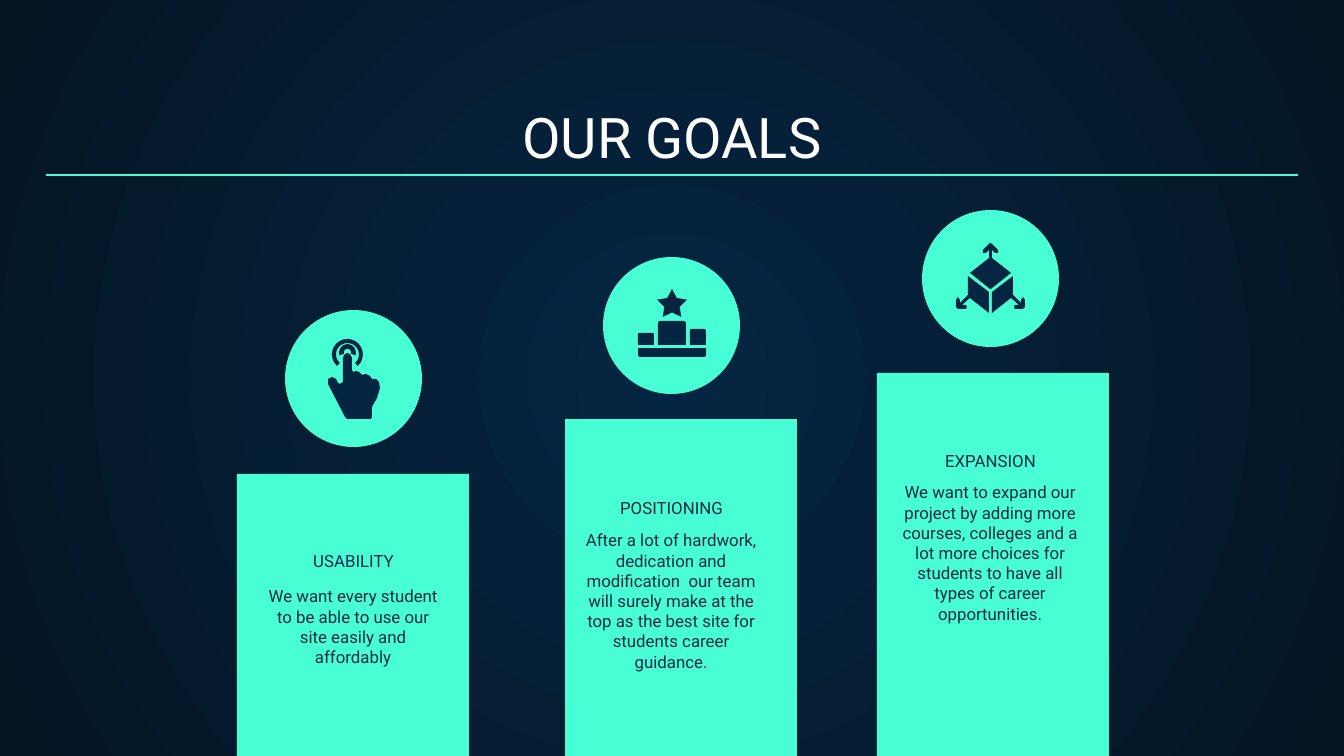
from dataclasses import dataclass
from lxml.etree import SubElement
from pptx import Presentation
from pptx.dml.color import RGBColor
from pptx.enum.shapes import MSO_CONNECTOR, MSO_SHAPE
from pptx.enum.text import MSO_ANCHOR, MSO_AUTO_SIZE, PP_ALIGN
from pptx.oxml.ns import qn
from pptx.util import Pt

PX = 914400 / 134.4
WIDE, HIGH = 1344, 756


@dataclass(frozen=True)
class Theme:
    mint: str = "48FFD5"
    navy: str = "052643"
    edge: str = "041523"
    ink: str = "0E2A47"
    white: str = "FFFFFF"
    font: str = "Roboto"
    title: int = 30
    text: int = 9
    rule: float = 0.75


THEME = Theme()

# bar left, bar top, disc left, disc top, body top, heading, body
GOALS = [
    (237, 474, 285, 310, 573, "USABILITY",
     "We want every student to be able to use our site easily and affordably"),
    (565, 419, 603, 257, 517, "POSITIONING",
     "After a lot of hardwork, dedication and modification  our team will "
     "surely make at the top as the best site for students career guidance."),
    (877, 373, 922, 210, 469, "EXPANSION",
     "We want to expand our project by adding more courses, colleges and a "
     "lot more choices for students to have all types of career opportunities."),
]

HAND = [
    (347, 353), (344, 355), (343, 358), (343, 382), (340, 384), (338, 383),
    (336, 379), (332, 377), (328, 379), (328, 384), (345, 417), (347, 419),
    (371, 419), (372, 417), (372, 407), (377, 398), (380, 388), (379, 382),
    (376, 379), (372, 379), (370, 376), (366, 374), (362, 375), (359, 372),
    (356, 371), (353, 372), (352, 370), (352, 358), (350, 354),
]
SIDE = [
    (1013, 276), (992, 292), (992, 313), (1011, 298), (1019, 305),
    (1015, 305), (1014, 307), (1015, 309), (1023, 309), (1025, 307),
    (1025, 300), (1023, 297), (1021, 300), (1021, 303), (1013, 295),
]
ROOF = [
    (990, 243), (983, 250), (983, 253), (986, 253), (989, 250),
    (989, 258), (970, 273), (990, 289),
]


def px(*nums):
    return [round(n * PX) for n in nums]


def rgb(code):
    return RGBColor.from_string(code)


def paint(shape, color):
    shape.shadow.inherit = False
    shape.fill.solid()
    shape.fill.fore_color.rgb = rgb(color)
    shape.line.fill.background()


def block(slide, kind, box, color, *adjust):
    shape = slide.shapes.add_shape(kind, *px(*box))
    for i, value in enumerate(adjust):
        shape.adjustments[i] = value
    paint(shape, color)
    return shape


def outline(slide, points):
    pen = slide.shapes.build_freeform(*points[0], scale=PX)
    pen.add_line_segments(points[1:], close=True)
    paint(pen.convert_to_shape(), THEME.navy)


def mirror(points):
    """Flip points about the axis of the cube icon."""
    return [(1981 - x, y) for x, y in reversed(points)]


def write(shape, box, text, size, color, anchor):
    shape.left, shape.top, shape.width, shape.height = px(*box)
    frame = shape.text_frame
    frame.word_wrap = True
    frame.auto_size = MSO_AUTO_SIZE.NONE
    frame.vertical_anchor = anchor
    inset, = px(13)
    frame.margin_left = frame.margin_right = inset
    frame.margin_top = frame.margin_bottom = inset
    line = frame.paragraphs[0]
    line.alignment = PP_ALIGN.CENTER
    run = line.add_run()
    run.text = text
    run.font.name = THEME.font
    run.font.size = Pt(size)
    run.font.color.rgb = rgb(color)


def label(slide, box, text, anchor):
    shape = slide.shapes.add_textbox(*px(*box))
    write(shape, box, text, THEME.text, THEME.ink, anchor)


def backdrop(slide):
    """Fill the background with a gradient that spreads from the centre."""
    fill = slide.background.fill
    fill.gradient()
    for stop, color, place in zip(fill.gradient_stops, (THEME.navy, THEME.edge), (0, 1)):
        stop.color.rgb = rgb(color)
        stop.position = place
    grad = next(slide.element.iter(qn("a:gradFill")))
    grad.remove(grad.find(qn("a:lin")))
    ring = SubElement(grad, qn("a:path"), {"path": "circle"})
    SubElement(ring, qn("a:fillToRect"), {side: "50000" for side in "ltrb"})


def rule(slide, left, right, y):
    line = slide.shapes.add_connector(MSO_CONNECTOR.STRAIGHT, *px(left, y, right, y))
    line.line.color.rgb = rgb(THEME.mint)
    line.line.width = Pt(THEME.rule)
    SubElement(line.element.spPr, qn("a:effectLst"))


def goal(slide, left, top, x, y, low, head, body):
    block(slide, MSO_SHAPE.RECTANGLE, (left, top, 232, HIGH - top), THEME.mint)
    block(slide, MSO_SHAPE.OVAL, (x, y, 137, 137), THEME.mint)
    label(slide, (x - 84, y + 246, 305, 28), head, MSO_ANCHOR.BOTTOM)
    label(slide, (x - 34, low, 204, 74), body, MSO_ANCHOR.TOP)


def touch(slide):
    arc = MSO_SHAPE.BLOCK_ARC
    # Arc angles count 0.6 to the degree.
    block(slide, arc, (332, 339, 31, 31), THEME.navy, 132 * 0.6, 48 * 0.6, 0.13)
    block(slide, arc, (339, 344, 17, 17), THEME.navy, 160 * 0.6, 20 * 0.6, 0.28)
    outline(slide, HAND)


def podium(slide):
    block(slide, MSO_SHAPE.STAR_5_POINT, (657, 289, 30, 28), THEME.navy, 0.26)
    step = MSO_SHAPE.ROUND_2_SAME_RECTANGLE
    for box in ((638, 333, 16, 12), (658, 321, 28, 24), (690, 329, 16, 16)):
        block(slide, step, box, THEME.navy, 0.1)
    base = block(slide, step, (638, 348, 68, 9), THEME.navy, 0.25)
    base.rotation = 180


def cube(slide):
    for points in (SIDE, mirror(SIDE), ROOF + mirror(ROOF)):
        outline(slide, points)


def main():
    deck = Presentation()
    deck.slide_width, deck.slide_height = px(WIDE, HIGH)
    slide = deck.slides.add_slide(deck.slide_layouts[5])
    backdrop(slide)
    write(slide.shapes.title, (46, 94, 1252, 89), "OUR GOALS",
          THEME.title, THEME.white, MSO_ANCHOR.BOTTOM)
    for item, icon in zip(GOALS, (touch, podium, cube)):
        goal(slide, *item)
        icon(slide)
    rule(slide, 46, 1298, 175)
    deck.save("out.pptx")


if __name__ == "__main__":
    main()
